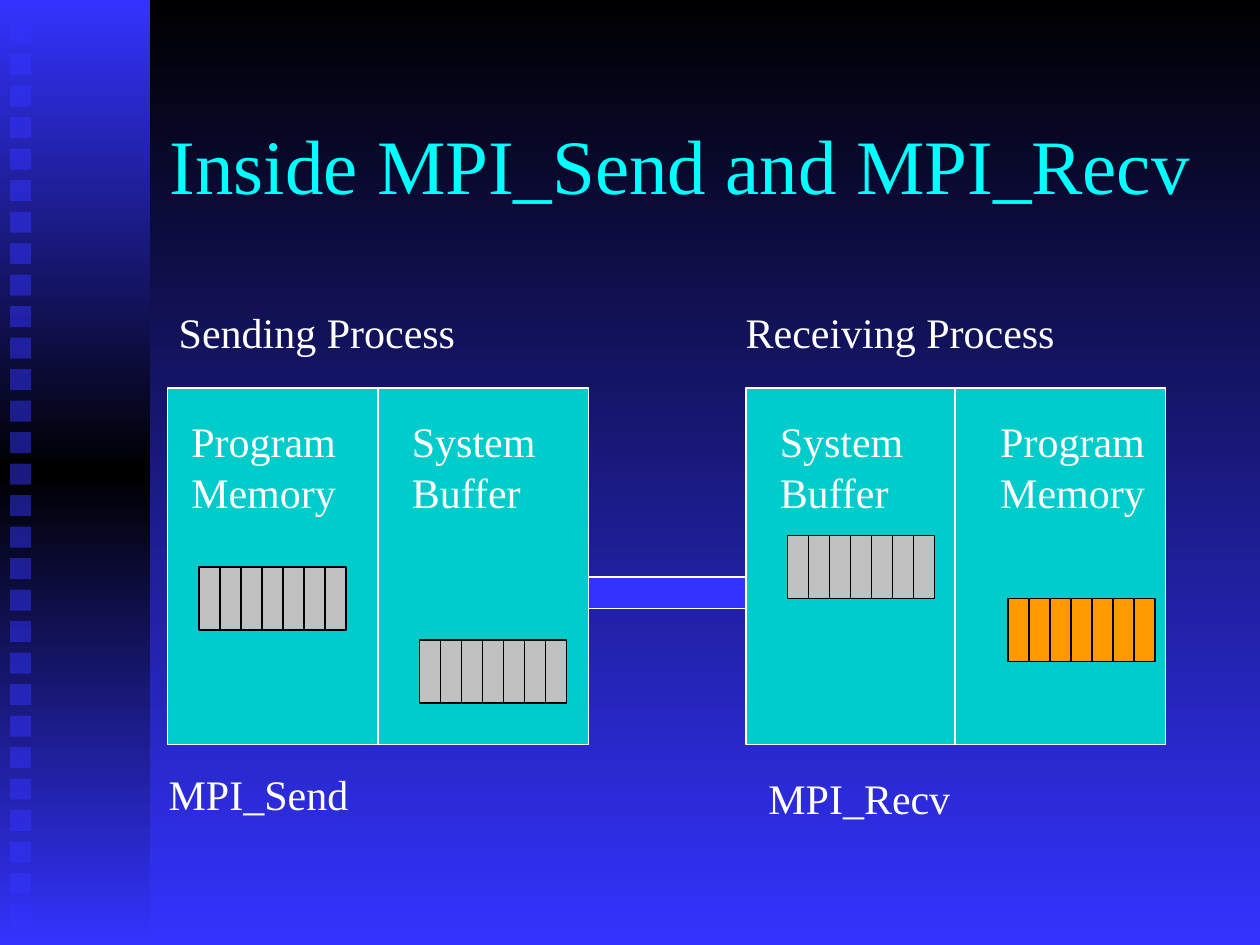
"""Build the slide on what happens inside MPI_Send and MPI_Recv."""
from dataclasses import dataclass
from typing import Any, Optional

from lxml.etree import SubElement
from pptx import Presentation
from pptx.dml.color import RGBColor
from pptx.enum.shapes import MSO_SHAPE as Kind
from pptx.enum.text import MSO_ANCHOR as Anchor
from pptx.oxml.ns import qn
from pptx.util import Inches, Pt

BLACK = RGBColor(0x00, 0x00, 0x00)
WHITE = RGBColor(0xFF, 0xFF, 0xFF)
BLUE = RGBColor(0x33, 0x33, 0xFF)
TEAL = RGBColor(0x00, 0xCC, 0xCC)
CYAN = RGBColor(0x00, 0xFF, 0xFF)
GRAY = RGBColor(0xC0, 0xC0, 0xC0)
ORANGE = RGBColor(0xFF, 0x99, 0x00)
FONT = "Times New Roman"
CELLS = 7
CELL = 1 / 6
DOTS = 29
PITCH = 0.25


@dataclass(frozen=True)
class Box:
    left: float
    top: float
    width: float
    height: float


@dataclass(frozen=True)
class Label:
    text: str
    box: Box
    size: int = 24
    color: RGBColor = WHITE


@dataclass(frozen=True)
class Buffer:
    left: float
    top: float
    color: RGBColor = GRAY


PANELS = [Box(x, 3.08, 1.67, 2.83) for x in (3, 1.33, 5.92, 7.58)]
PIPE = Box(4.67, 4.58, 1.25, 0.25)
TITLE = Label("Inside MPI_Send and MPI_Recv", Box(1.25, 0.67, 8.5, 1.25), 44, CYAN)
LABELS = [
    Label("Sending Process", Box(1.32, 2.38, 2.45, 0.5)),
    Label("Receiving Process", Box(5.82, 2.38, 2.7, 0.5)),
    Label("Program\nMemory", Box(1.42, 3.25, 1.4, 0.9)),
    Label("System\nBuffer", Box(3.17, 3.25, 1.25, 0.9)),
    Label("System\nBuffer", Box(6.09, 3.25, 1.25, 0.9)),
    Label("Program\nMemory", Box(7.84, 3.25, 1.4, 0.9)),
    Label("MPI_Send", Box(1.24, 6.05, 1.7, 0.5)),
    Label("MPI_Recv", Box(6, 6.08, 1.7, 0.5)),
]
BUFFERS = [
    Buffer(1.58, 4.5),
    Buffer(3.33, 5.08),
    Buffer(8, 4.75, ORANGE),
    Buffer(6.25, 4.25),
]


def place(box: Box) -> tuple:
    """Give the box as four lengths."""
    return Inches(box.left), Inches(box.top), Inches(box.width), Inches(box.height)


def shade(fill: Any, root: Any, colors: list[RGBColor]) -> None:
    """Fill from top to bottom with evenly spaced colours."""
    fill.gradient()
    fill.gradient_angle = 270
    stops = root.find(".//" + qn("a:gsLst"))
    stops.clear()
    for i, color in enumerate(colors):
        stop = SubElement(stops, qn("a:gs"), pos=str(100000 * i // (len(colors) - 1)))
        SubElement(stop, qn("a:srgbClr"), val=str(color))


def add_box(slide: Any, box: Box, color: RGBColor, edge: Optional[RGBColor] = None) -> Any:
    """Draw a filled rectangle, outlined if an edge colour is given."""
    shape = slide.shapes.add_shape(Kind.RECTANGLE, *place(box))
    shape.shadow.inherit = False
    shape.fill.solid()
    shape.fill.fore_color.rgb = color
    if edge is None:
        shape.line.fill.background()
    else:
        shape.line.color.rgb = edge
        shape.line.width = Pt(0.75)
    return shape


def add_dot(slide: Any, top: float) -> None:
    """Draw one half-transparent square of the side band."""
    dot = add_box(slide, Box(0.08, top, CELL, CELL), BLUE)
    tint = dot._element.spPr.find(qn("a:solidFill"))[0]
    SubElement(tint, qn("a:alpha"), val="50000")


def add_label(slide: Any, label: Label) -> Any:
    """Write a label and return its text frame."""
    frame = slide.shapes.add_textbox(*place(label.box)).text_frame
    frame.text = label.text
    frame.word_wrap = True
    for para in frame.paragraphs:
        para.font.name = FONT
        para.font.size = Pt(label.size)
        para.font.color.rgb = label.color
    return frame


def add_buffer(slide: Any, buffer: Buffer) -> None:
    """Draw a row of message cells."""
    for i in range(CELLS):
        add_box(slide, Box(buffer.left + i * CELL, buffer.top, CELL, 0.5), buffer.color, BLACK)


def main() -> None:
    """Build and save the slide."""
    deck = Presentation()
    deck.slide_width, deck.slide_height = Inches(10), Inches(7.5)
    slide = deck.slides.add_slide(deck.slide_layouts[6])
    shade(slide.background.fill, slide._element, [BLACK, BLUE])
    band = add_box(slide, Box(0, 0, 1.19, 7.5), BLUE)
    shade(band.fill, band._element, [BLUE, BLACK, BLUE])
    for i in range(DOTS):
        add_dot(slide, 0.18 + i * PITCH)
    add_label(slide, TITLE).vertical_anchor = Anchor.MIDDLE
    for panel in PANELS:
        add_box(slide, panel, TEAL, WHITE)
    add_box(slide, PIPE, BLUE, WHITE)
    for label in LABELS:
        add_label(slide, label)
    for buffer in BUFFERS:
        add_buffer(slide, buffer)
    deck.save("out.pptx")


if __name__ == "__main__":
    main()
